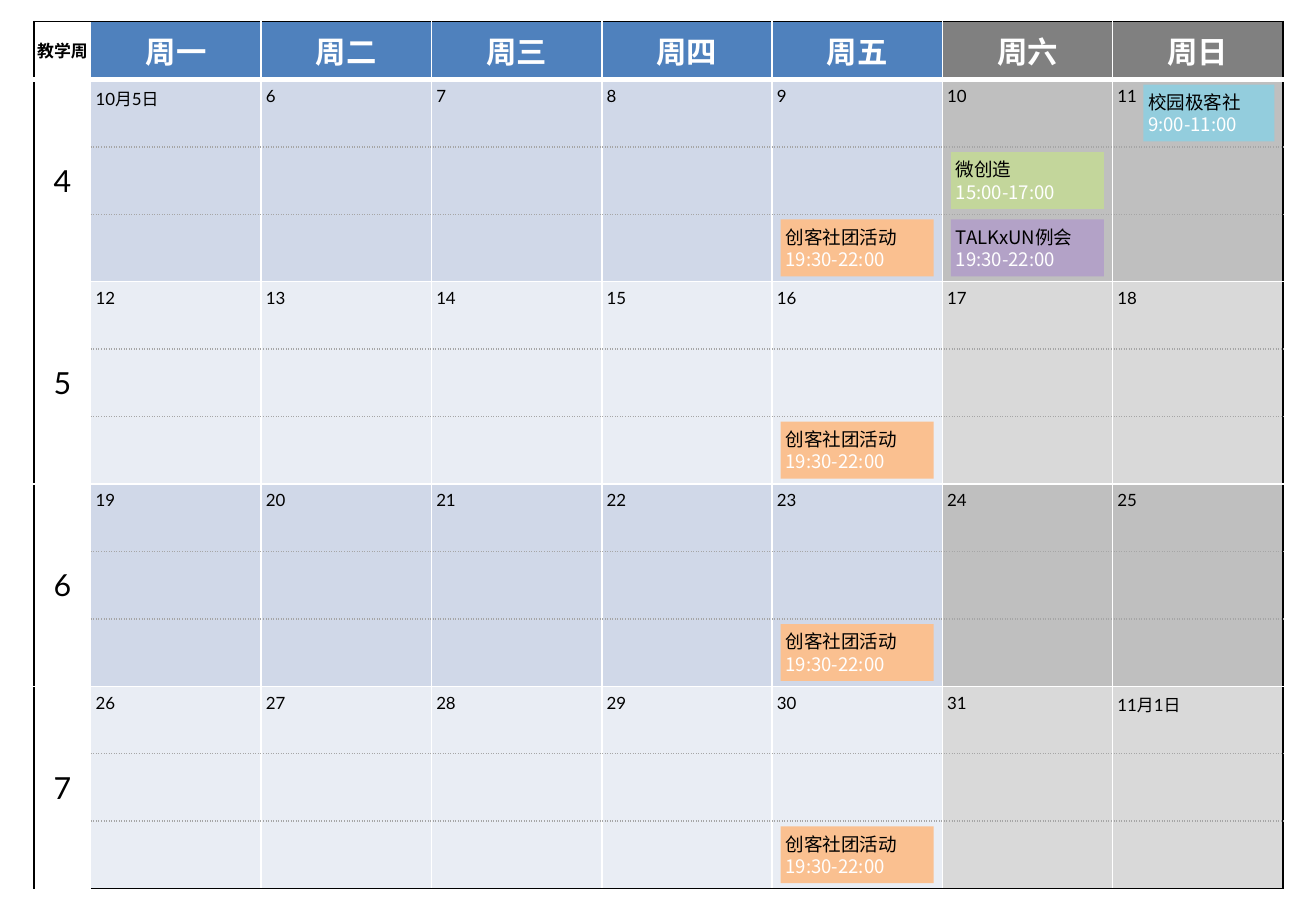
from lxml import etree
from pptx import Presentation
from pptx.dml.color import RGBColor
from pptx.enum import shapes, text
from pptx.oxml import ns
from pptx.util import Cm, Pt

COLORS = {
    "black": "000000", "white": "FFFFFF", "dots": "A6A6A6",
    "weekday head": "4F81BD", "weekend head": "808080",
    "weekday dark": "D0D8E8", "weekend dark": "BFBFBF",
    "weekday light": "E9EDF4", "weekend light": "D9D9D9",
    "maker": "FAC090", "talks": "B3A2C7", "micro": "C3D69B", "geeks": "93CDDD",
}
LATIN, CJK = "Lato", "Noto Sans CJK SC"
LEFT, TOP = 0.71, 0.45
WEEK_W, DAY_W = 1.19, 3.56
HEAD_H, SLOT_H = 1.21, 1.41
SLOTS = 3
WEEKDAYS = ["周一", "周二", "周三", "周四", "周五", "周六", "周日"]
WEEKS = ["4", "5", "6", "7"]
FRIDAY, SATURDAY, SUNDAY = 4, 5, 6


def write(holder, *lines, size=10, colors=("black",), font=LATIN, bold=False,
          align=text.PP_ALIGN.LEFT, anchor=text.MSO_ANCHOR.TOP, inset=(0, 0)):
    """Fill a cell or shape with one paragraph per line."""
    frame = holder.text_frame
    box = holder if hasattr(holder, "is_merge_origin") else frame
    box.vertical_anchor = anchor
    box.margin_left = box.margin_right = Cm(inset[0])
    box.margin_top = box.margin_bottom = Cm(inset[1])
    frame.word_wrap = True
    for n, (line, color) in enumerate(zip(lines, colors)):
        para = frame.add_paragraph() if n else frame.paragraphs[0]
        para.alignment = align
        run = para.add_run()
        run.text = line
        run.font.size, run.font.bold, run.font.name = Pt(size), bold, font
        run.font.color.rgb = RGBColor.from_string(COLORS[color])
        east_asian = etree.SubElement(run.font._element, ns.qn("a:ea"))
        east_asian.set("typeface", CJK)


def draw_borders(cell, **sides):
    """Set borders L, R, T, B, each given as (colour, points) or None."""
    for n, side in enumerate("LRTB"):
        line = etree.Element(ns.qn("a:ln" + side))
        cell._tc.get_or_add_tcPr().insert(n, line)
        if sides[side] is None:
            etree.SubElement(line, ns.qn("a:noFill"))
            continue
        color, width = sides[side]
        line.set("w", str(Pt(width)))
        solid = etree.SubElement(line, ns.qn("a:solidFill"))
        etree.SubElement(solid, ns.qn("a:srgbClr")).set("val", COLORS[color])
        dash = "sysDot" if color == "dots" else "solid"
        etree.SubElement(line, ns.qn("a:prstDash")).set("val", dash)


prs = Presentation()
prs.slide_width, prs.slide_height = Cm(27.51), Cm(19.05)
slide = prs.slides.add_slide(prs.slide_layouts[6])

# Calendar grid
row_count, col_count = 1 + SLOTS * len(WEEKS), 1 + len(WEEKDAYS)
calendar = slide.shapes.add_table(
    row_count, col_count, Cm(LEFT), Cm(TOP),
    Cm(WEEK_W + DAY_W * len(WEEKDAYS)),
    Cm(HEAD_H + SLOT_H * SLOTS * len(WEEKS))).table
calendar.first_row = calendar.horz_banding = False
for c, column in enumerate(calendar.columns):
    column.width = Cm(DAY_W if c else WEEK_W)
for r, row in enumerate(calendar.rows):
    row.height = Cm(SLOT_H if r else HEAD_H)

# Cell fills and borders
black, white, thick, dots = ("black", 1), ("white", 1), ("white", 3), ("dots", 1)
for r in range(row_count):
    week, slot = divmod(r - 1, SLOTS)
    shade = "head" if r == 0 else ("light" if week % 2 else "dark")
    for c in range(col_count):
        cell = calendar.cell(r, c)
        kind = "weekend" if c > SATURDAY else "weekday"
        cell.fill.solid()
        cell.fill.fore_color.rgb = RGBColor.from_string(
            COLORS[f"{kind} {shade}" if c else "white"])
        inner = dots if c else None
        top = black if r == 0 else thick if r == 1 else inner if slot else white
        bottom = (thick if r == 0 else black if r == row_count - 1
                  else white if slot == SLOTS - 1 else inner)
        draw_borders(cell, T=top, B=bottom,
                     L=black if c == 0 else None if c == 1 else white,
                     R=None if c == 0 else black if c == col_count - 1 else white)

# Header row
centred = dict(align=text.PP_ALIGN.CENTER, anchor=text.MSO_ANCHOR.MIDDLE)
write(calendar.cell(0, 0), "教学周", bold=True, **centred)
for c, weekday in enumerate(WEEKDAYS, 1):
    write(calendar.cell(0, c), weekday, size=18, colors=["white"], bold=True, **centred)

# Week numbers and dates
dates = ["10月5日", *map(str, range(6, 32)), "11月1日"]
for w, week_number in enumerate(WEEKS):
    first = 1 + w * SLOTS
    calendar.cell(first, 0).merge(calendar.cell(first + SLOTS - 1, 0))
    write(calendar.cell(first, 0), week_number, size=18, **centred)
    for d in range(len(WEEKDAYS)):
        write(calendar.cell(first, d + 1), dates[w * len(WEEKDAYS) + d], inset=(0.1, 0.13))

# Events: name, time, colour, week, day, slot, left indent
events = [("TALKxUN例会", "19:30-22:00", "talks", 0, SATURDAY, 2, 0.18)]
events += [("创客社团活动", "19:30-22:00", "maker", w, FRIDAY, 2, 0.18)
           for w in range(len(WEEKS))]
events += [("微创造", "15:00-17:00", "micro", 0, SATURDAY, 1, 0.18),
           ("校园极客社", "9:00-11:00", "geeks", 0, SUNDAY, 0, 0.64)]
for name, hours, color, week, day, slot, indent in events:
    event = slide.shapes.add_shape(
        shapes.MSO_SHAPE.RECTANGLE,
        Cm(LEFT + WEEK_W + day * DAY_W + indent),
        Cm(TOP + HEAD_H + (week * SLOTS + slot) * SLOT_H + 0.11),
        Cm(DAY_W - 0.18 - indent), Cm(1.19))
    event.shadow.inherit = False
    event.fill.solid()
    event.fill.fore_color.rgb = RGBColor.from_string(COLORS[color])
    event.line.fill.background()
    write(event, name, hours, size=11, colors=("black", "white"), font=CJK,
          anchor=text.MSO_ANCHOR.MIDDLE, inset=(0.1, 0))

prs.save("out.pptx")
